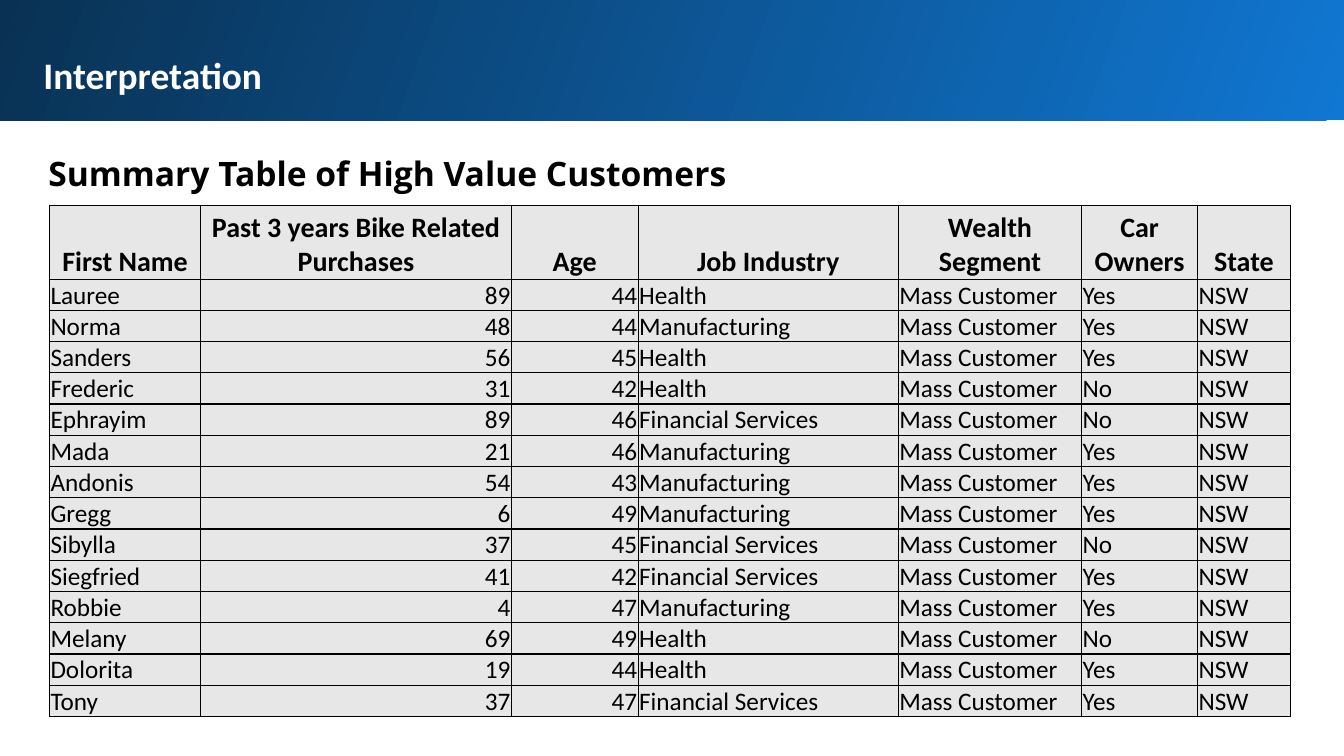
from dataclasses import dataclass
from typing import NamedTuple

from lxml.etree import SubElement
from pptx import Presentation
from pptx.dml.color import RGBColor as RGB
from pptx.enum.shapes import MSO_SHAPE as Shape
from pptx.enum.text import MSO_ANCHOR as Anchor, PP_ALIGN as Align
from pptx.oxml.ns import qn
from pptx.util import Pt


@dataclass(frozen=True)
class Theme:
    bright: str = "1077D2"
    dark: str = "093153"
    white: str = "FFFFFF"
    black: str = "000000"
    cell: str = "E7E7E7"
    body_font: str = "Calibri"
    heading_font: str = "Open Sans"
    title_size: float = 26.7
    heading_size: float = 24
    header_size: float = 20
    cell_size: float = 18


class Column(NamedTuple):
    title: str
    width: float
    align: Align = Align.LEFT


class Customer(NamedTuple):
    name: str
    purchases: int
    age: int
    industry: str
    car: str
    segment: str = "Mass Customer"
    state: str = "NSW"

    def cells(self) -> list[str]:
        return [self.name, str(self.purchases), str(self.age), self.industry,
                self.segment, self.car, self.state]


class Label(NamedTuple):
    text: str
    left: float
    top: float
    height: float
    font: str
    size: float
    color: str
    spacing: float = 1.0


THEME = Theme()
LABEL_WIDTH = 899.3
LABEL_INSET = 9.36
HEADER_HEIGHT = 52.6
ROW_HEIGHT = 22.32
CELL_INSET = 0.7
BORDER = 1

LABELS = [
    Label("Interpretation", 21.6, 27.6, 51.8,
          THEME.body_font, THEME.title_size, THEME.white),
    Label("Summary Table of High Value Customers", 25.2, 95.8, 49.7,
          THEME.heading_font, THEME.heading_size, THEME.black, 1.15),
]

COLUMNS = [
    Column("First Name", 108),
    Column("Past 3 years Bike Related Purchases", 221.8, Align.RIGHT),
    Column("Age", 90.7, Align.RIGHT),
    Column("Job Industry", 185.8),
    Column("Wealth Segment", 131),
    Column("Car Owners", 82.8),
    Column("State", 66.2),
]

CUSTOMERS = [
    Customer("Lauree", 89, 44, "Health", "Yes"),
    Customer("Norma", 48, 44, "Manufacturing", "Yes"),
    Customer("Sanders", 56, 45, "Health", "Yes"),
    Customer("Frederic", 31, 42, "Health", "No"),
    Customer("Ephrayim", 89, 46, "Financial Services", "No"),
    Customer("Mada", 21, 46, "Manufacturing", "Yes"),
    Customer("Andonis", 54, 43, "Manufacturing", "Yes"),
    Customer("Gregg", 6, 49, "Manufacturing", "Yes"),
    Customer("Sibylla", 37, 45, "Financial Services", "No"),
    Customer("Siegfried", 41, 42, "Financial Services", "Yes"),
    Customer("Robbie", 4, 47, "Manufacturing", "Yes"),
    Customer("Melany", 69, 49, "Health", "No"),
    Customer("Dolorita", 19, 44, "Health", "Yes"),
    Customer("Tony", 37, 47, "Financial Services", "Yes"),
]


def write(tf, text: str, *, size: float, font: str = THEME.body_font,
          color: str = THEME.black, bold: bool = False,
          align: Align = Align.LEFT, spacing: float = 1.0) -> None:
    p = tf.paragraphs[0]
    p.alignment = align
    p.line_spacing = spacing
    r = p.add_run()
    r.text = text
    r.font.size = Pt(size)
    r.font.name = font
    r.font.bold = bold
    r.font.color.rgb = RGB.from_string(color)


def add_banner(s) -> None:
    sp = s.shapes.add_shape(Shape.RECTANGLE, Pt(-1.4), Pt(-2), Pt(964.8), Pt(88))
    sp.shadow.inherit = False
    sp.line.fill.background()
    sp.fill.gradient()
    sp.fill.gradient_angle = 160
    for stop, color in zip(sp.fill.gradient_stops, (THEME.bright, THEME.dark)):
        stop.color.rgb = RGB.from_string(color)


def add_label(s, label: Label) -> None:
    sp = s.shapes.add_textbox(Pt(label.left), Pt(label.top),
                              Pt(LABEL_WIDTH), Pt(label.height))
    tf = sp.text_frame
    tf.word_wrap = True
    tf.margin_left = tf.margin_right = Pt(LABEL_INSET)
    tf.margin_top = tf.margin_bottom = Pt(LABEL_INSET)
    write(tf, label.text, size=label.size, font=label.font, color=label.color,
          bold=True, spacing=label.spacing)


def style_cell(cell) -> None:
    cell.margin_left = cell.margin_right = cell.margin_top = Pt(CELL_INSET)
    cell.margin_bottom = 0
    cell.vertical_anchor = Anchor.BOTTOM
    props = cell._tc.get_or_add_tcPr()
    for side in ("a:lnL", "a:lnR", "a:lnT", "a:lnB"):
        ln = SubElement(props, qn(side), w=str(Pt(BORDER)))
        SubElement(SubElement(ln, qn("a:solidFill")), qn("a:srgbClr"),
                   val=THEME.black)
    cell.fill.solid()
    cell.fill.fore_color.rgb = RGB.from_string(THEME.cell)


def add_customer_table(s) -> None:
    rows = [[c.title for c in COLUMNS]] + [c.cells() for c in CUSTOMERS]
    width = sum(c.width for c in COLUMNS)
    height = HEADER_HEIGHT + ROW_HEIGHT * len(CUSTOMERS)
    table = s.shapes.add_table(len(rows), len(COLUMNS), Pt(35.4), Pt(146.8),
                               Pt(width), Pt(height)).table
    table.horz_banding = False
    for i, column in enumerate(COLUMNS):
        table.columns[i].width = Pt(column.width)
    for i, row in enumerate(rows):
        header = i == 0
        table.rows[i].height = Pt(HEADER_HEIGHT if header else ROW_HEIGHT)
        for j, (text, column) in enumerate(zip(row, COLUMNS)):
            cell = table.cell(i, j)
            style_cell(cell)
            write(cell.text_frame, text, bold=header,
                  size=THEME.header_size if header else THEME.cell_size,
                  align=Align.CENTER if header else column.align)


def main() -> None:
    prs = Presentation()
    prs.slide_width, prs.slide_height = Pt(960), Pt(540)
    s = prs.slides.add_slide(prs.slide_layouts[6])
    add_banner(s)
    for label in LABELS:
        add_label(s, label)
    add_customer_table(s)
    prs.save("out.pptx")


if __name__ == "__main__":
    main()
